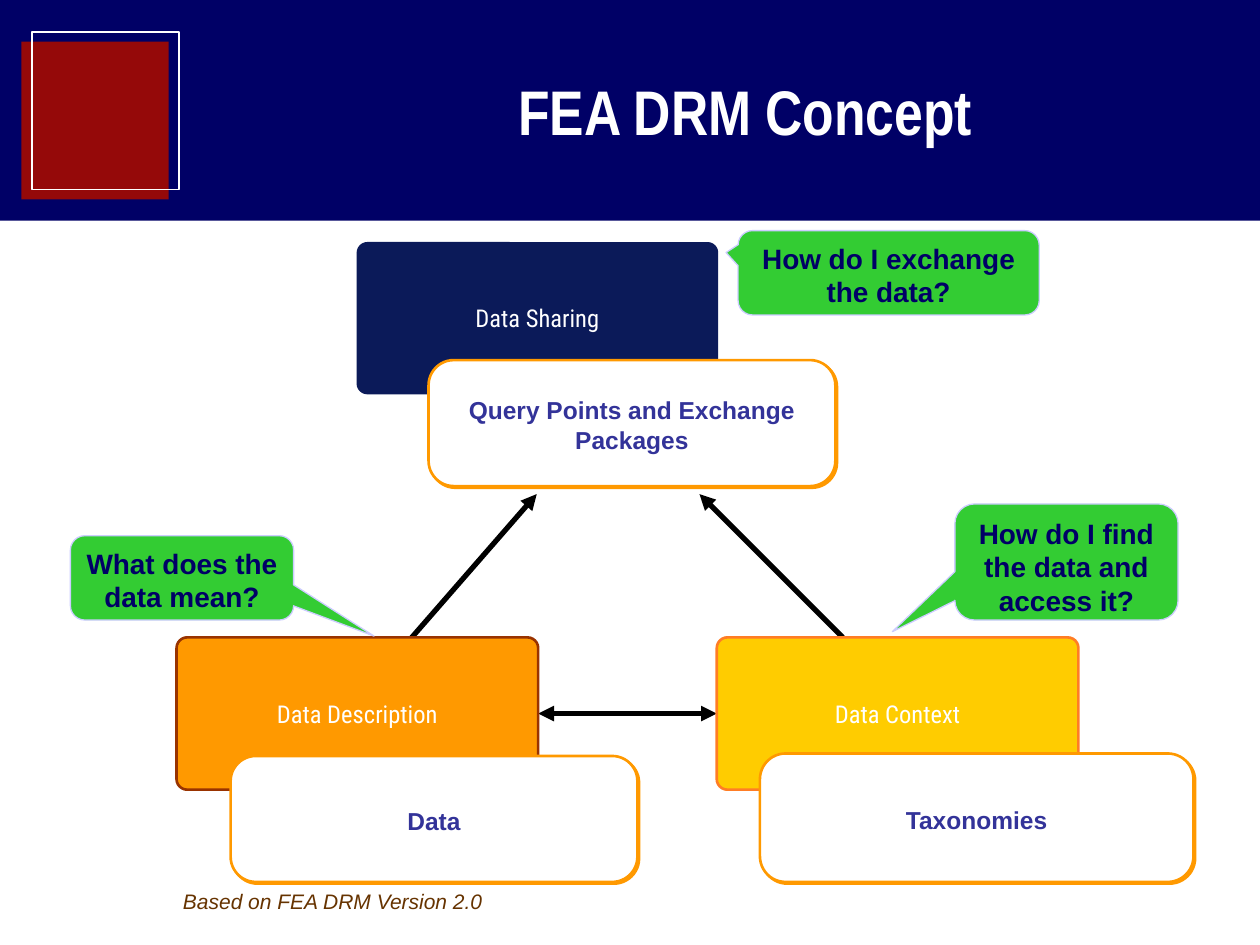
from collections import namedtuple

from lxml import etree
from pptx import Presentation
from pptx import util as u
from pptx.dml.color import RGBColor
from pptx.enum import shapes, text
from pptx.oxml import ns

Theme = namedtuple(
    "Theme",
    "navy red white sharing orange rust yellow coral indigo green lilac black brown "
    "title_size card_size callout_size note_size",
)
theme = Theme(
    "000066", "950909", "FFFFFF", "0B1A59", "FF9900", "993300", "FFCC00", "FF7D25",
    "333399", "33CC33", "CCCCFF", "000000", "663300", 36, 14, 16, 12,
)
kinds = shapes.MSO_SHAPE


def write(shape, content, size, color, font="Arial", bold=False, italic=False,
          align=text.PP_ALIGN.CENTER, anchor=text.MSO_ANCHOR.MIDDLE,
          insets=(0.25, 0.13, 0.25, 0.13), before=0, fit=text.MSO_AUTO_SIZE.NONE):
    frame = shape.text_frame
    frame.word_wrap = True
    frame.auto_size = fit
    frame.vertical_anchor = anchor
    frame.margin_left, frame.margin_top, frame.margin_right, frame.margin_bottom = map(u.Cm, insets)
    paragraph = frame.paragraphs[0]
    paragraph.alignment = align
    paragraph.space_before = u.Pt(before)
    run = paragraph.add_run()
    run.text = content
    run.font.name = font
    run.font.size = u.Pt(size)
    run.font.bold = bold
    run.font.italic = italic
    run.font.color.rgb = RGBColor.from_string(color)


def add_box(kind, bounds, fill=None, line=None, width=1.5, adjustments=()):
    shape = slide.shapes.add_shape(kind, *map(u.Cm, bounds))
    shape.shadow.inherit = False
    if fill:
        shape.fill.solid()
        shape.fill.fore_color.rgb = RGBColor.from_string(fill)
    else:
        shape.fill.background()
    if line:
        shape.line.color.rgb = RGBColor.from_string(line)
        shape.line.width = u.Pt(width)
    else:
        shape.line.fill.background()
    for index, value in enumerate(adjustments):
        shape.adjustments[index] = value
    return shape


presentation = Presentation()
presentation.slide_width = u.Cm(25.4)
presentation.slide_height = u.Cm(19.05)
slide = presentation.slides.add_slide(presentation.slide_layouts[5])

add_box(kinds.RECTANGLE, (0, 0, 25.4, 4.45), theme.navy)
add_box(kinds.RECTANGLE, (0.43, 0.84, 2.97, 3.18), theme.red)
add_box(kinds.RECTANGLE, (0.64, 0.64, 2.97, 3.18), line=theme.white, width=1)

title = slide.shapes.title
title.left, title.top, title.width, title.height = map(u.Cm, (4.65, 0.64, 20.75, 3.18))
write(title, "FEA DRM Concept", theme.title_size, theme.white, "Arial Narrow", bold=True)
title.element.getparent().append(title.element)

arrows = []
for points, ends in [
    ((7.9, 13.31, 10.82, 9.96), ["tailEnd"]),
    ((16.99, 12.85, 14.1, 9.96), ["tailEnd"]),
    ((14.45, 14.27, 10.82, 14.27), ["headEnd", "tailEnd"]),
]:
    arrow = slide.shapes.add_connector(shapes.MSO_CONNECTOR.STRAIGHT, *map(u.Cm, points))
    arrow.line.color.rgb = RGBColor.from_string(theme.black)
    arrow.line.width = u.Pt(3)
    for end in ends:
        etree.SubElement(arrow.line._get_or_add_ln(), ns.qn("a:" + end), type="triangle")
    etree.SubElement(arrow.element.spPr, ns.qn("a:effectLst"))
    arrows.append(arrow)

cards = {}
for name, left, top, fill, line, detail, detail_bounds, before in [
    ("Data Sharing", 7.19, 4.88, theme.sharing, None,
     "Query Points and Exchange Packages", (8.64, 7.26, 8.2, 2.54), 1),
    ("Data Description", 3.56, 12.85, theme.orange, theme.rust,
     "Data", (4.65, 15.24, 8.2, 2.54), 4),
    ("Data Context", 14.45, 12.85, theme.yellow, theme.coral,
     "Taxonomies", (15.32, 15.19, 8.74, 2.59), 8),
]:
    card = add_box(kinds.ROUNDED_RECTANGLE, (left, top, 7.29, 3.07), fill, line, adjustments=[0.07])
    write(card, name, theme.card_size, theme.white, "Roboto Condensed",
          insets=(0, 0.13, 0, 0.13), before=2)
    cards[name] = card
    panel = add_box(kinds.ROUNDED_RECTANGLE, detail_bounds, theme.white, theme.orange, adjustments=[0.2])
    write(panel, detail, theme.card_size, theme.indigo, bold=True,
          insets=(0.25, 0.2, 0.25, 0.13), before=before)
    effects = panel.element.spPr.find(ns.qn("a:effectLst"))
    shadow = etree.SubElement(effects, ns.qn("a:outerShdw"), blurRad="0", dist="17780",
                              dir="2700000", algn="ctr", rotWithShape="0")
    etree.SubElement(shadow, ns.qn("a:srgbClr"), val=theme.orange)

arrows[2].begin_connect(cards["Data Context"], 1)
arrows[2].end_connect(cards["Data Description"], 3)

for question, bounds, pointer in [
    ("How do I exchange the data?", (14.88, 4.65, 6.07, 1.7), (-0.54, -0.24)),
    ("What does the data mean?", (1.42, 10.8, 4.5, 1.7), (0.86, 0.69)),
    ("How do I find the data and access it?", (19.25, 10.16, 4.5, 2.34), (-0.78, 0.6)),
]:
    callout = add_box(kinds.ROUNDED_RECTANGULAR_CALLOUT, bounds, theme.green, theme.lilac,
                      0.75, (*pointer, 0.17))
    write(callout, question, theme.callout_size, theme.navy, bold=True,
          anchor=text.MSO_ANCHOR.TOP, insets=(0.13,) * 4)

note = slide.shapes.add_textbox(*map(u.Cm, (3.56, 17.78, 9.58, 0.76)))
write(note, "Based on FEA DRM Version 2.0", theme.note_size, theme.brown, italic=True,
      align=text.PP_ALIGN.LEFT, anchor=text.MSO_ANCHOR.TOP, insets=(0.13,) * 4,
      before=7.5, fit=text.MSO_AUTO_SIZE.SHAPE_TO_FIT_TEXT)

presentation.save("out.pptx")
